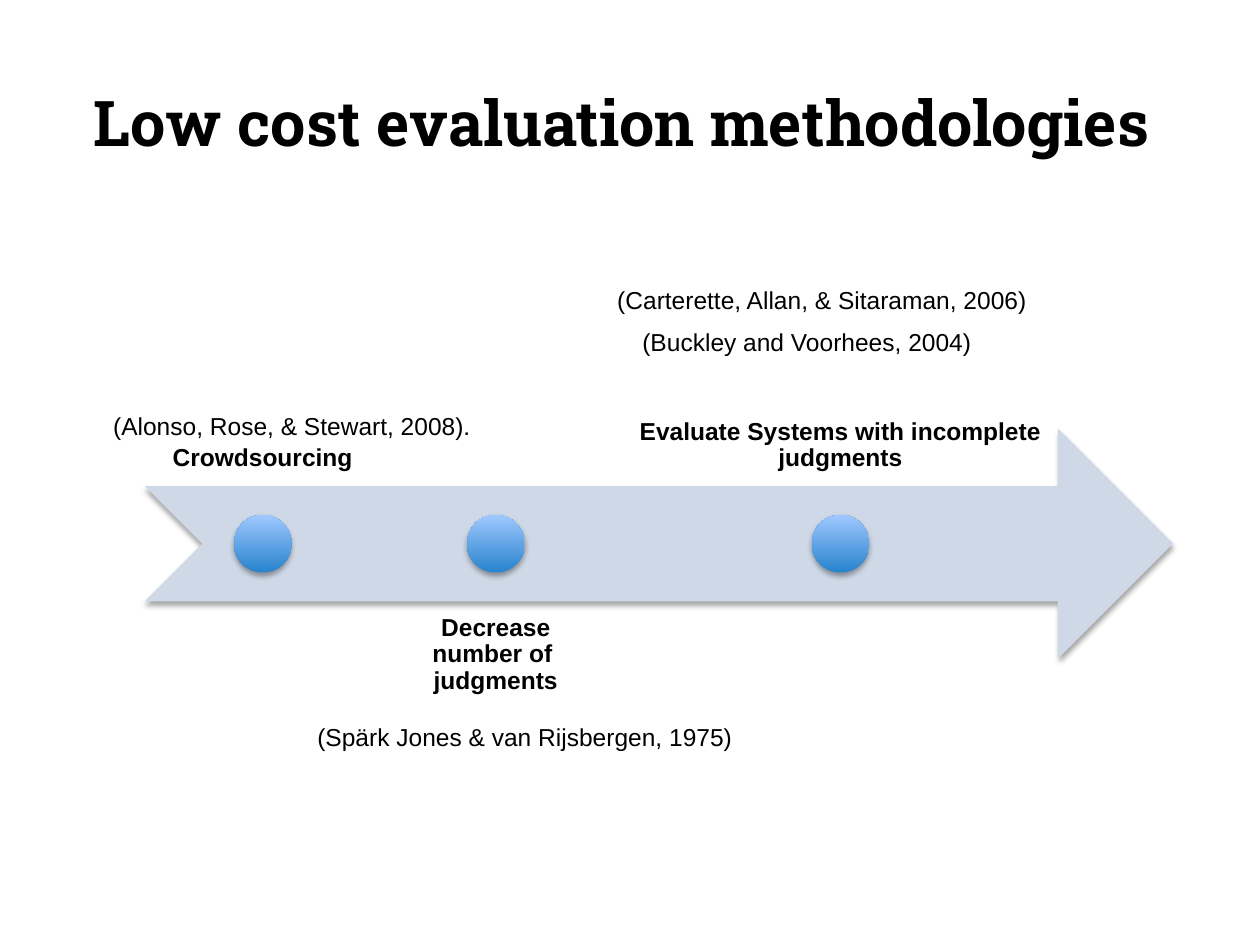
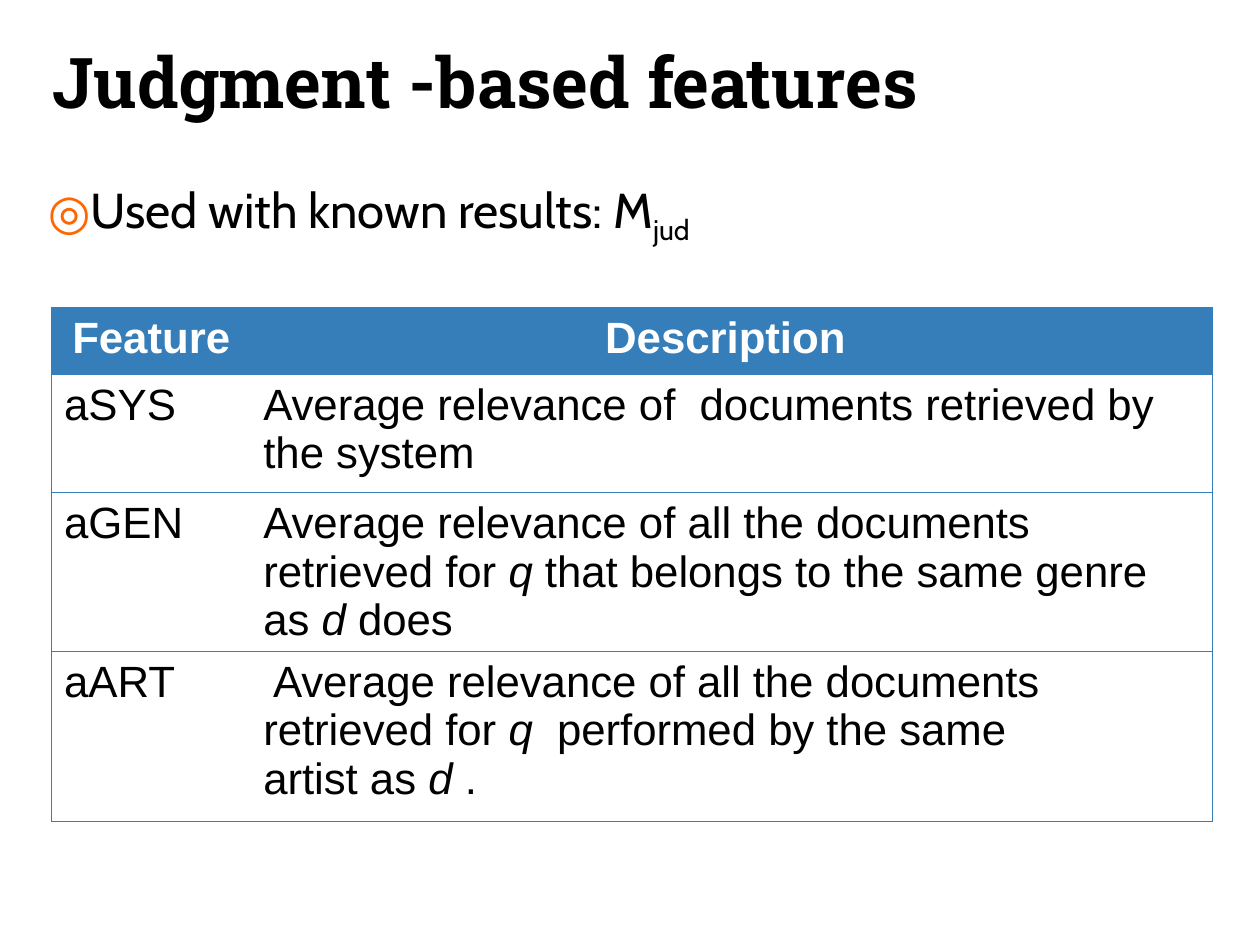
import lxml.etree
import pptx
import pptx.dml.color
import pptx.enum.shapes
import pptx.enum.text
import pptx.oxml.ns
import pptx.util

Inches = pptx.util.Inches
Pt = pptx.util.Pt
Align = pptx.enum.text.PP_ALIGN
Anchor = pptx.enum.text.MSO_ANCHOR
Shape = pptx.enum.shapes.MSO_SHAPE
qn = pptx.oxml.ns.qn

TITLE_FONT = "Roboto Slab"
BODY_FONT = "Cabin"
LABEL_FONT = "Arial"
BLACK = "000000"
WHITE = "FFFFFF"
ARROW_FILL = "CED8E7"
DOT_DARK = "2783CD"
DOT_LIGHT = "A0C8FF"
TABLE_BLUE = "367EB9"
BULLET_ORANGE = "FF6600"


def rgb(hex_color):
    return pptx.dml.color.RGBColor.from_string(hex_color)


def add_element(parent, tag, **attributes):
    element = lxml.etree.SubElement(parent, qn(tag))
    for name, value in attributes.items():
        element.set(name, str(value))
    return element


def add_run(paragraph, text, size, font=LABEL_FONT, color=BLACK, bold=False, italic=False):
    run = paragraph.add_run()
    run.text = text
    run.font.name = font
    run.font.size = Pt(size)
    run.font.color.rgb = rgb(color)
    run.font.bold = bold
    run.font.italic = italic
    return run


def place(shape, left, top, width, height):
    shape.left, shape.top = Inches(left), Inches(top)
    shape.width, shape.height = Inches(width), Inches(height)


def set_frame(frame, margin, anchor=Anchor.TOP):
    frame.word_wrap = True
    frame.auto_size = pptx.enum.text.MSO_AUTO_SIZE.NONE
    frame.vertical_anchor = anchor
    frame.margin_left = frame.margin_right = Inches(margin)
    frame.margin_top = frame.margin_bottom = Inches(margin)


def set_title(slide, text, box, size, alignment):
    title = slide.shapes.title
    place(title, *box)
    set_frame(title.text_frame, 0.1, Anchor.BOTTOM)
    paragraph = title.text_frame.paragraphs[0]
    paragraph.alignment = alignment
    add_run(paragraph, text, size, TITLE_FONT, bold=True)


def add_shadowed_shape(slide, kind, left, top, width, height):
    shape = slide.shapes.add_shape(kind, Inches(left), Inches(top), Inches(width), Inches(height))
    shape.line.fill.background()
    shape.shadow.inherit = False
    effects = shape._element.spPr.find(qn("a:effectLst"))
    shadow = add_element(effects, "a:outerShdw", blurRad=Pt(3.1), dist=Pt(1.8),
                         dir=90 * 60000, rotWithShape=0)
    color = add_element(shadow, "a:srgbClr", val=BLACK)
    add_element(color, "a:alpha", val=35000)
    return shape


def add_dot(slide, center_x, center_y, diameter):
    dot = add_shadowed_shape(slide, Shape.OVAL, center_x - diameter / 2,
                             center_y - diameter / 2, diameter, diameter)
    dot.fill.gradient()
    dot.fill.gradient_angle = 90
    for stop, color in zip(dot.fill.gradient_stops, (DOT_DARK, DOT_LIGHT)):
        stop.color.rgb = rgb(color)


def add_milestone(slide, text, left, width, top, height, above):
    label_top = top if above else top + 0.6 * height
    label = slide.shapes.add_textbox(Inches(left), Inches(label_top),
                                     Inches(width), Inches(0.4 * height))
    set_frame(label.text_frame, 0.11, Anchor.BOTTOM if above else Anchor.TOP)
    paragraph = label.text_frame.paragraphs[0]
    paragraph.alignment = Align.CENTER
    paragraph.line_spacing = 0.9
    add_run(paragraph, text, 14, bold=True)
    add_dot(slide, left + width / 2, top + height / 2, height / 10)


def add_citation(slide, text, left, top, width):
    citation = slide.shapes.add_textbox(Inches(left), Inches(top), Inches(width), Inches(0.34))
    citation.text_frame.word_wrap = False
    citation.text_frame.auto_size = pptx.enum.text.MSO_AUTO_SIZE.SHAPE_TO_FIT_TEXT
    add_run(citation.text_frame.paragraphs[0], text, 14)


def add_timeline(slide, box, milestones, citations):
    left, top, width, height = box
    arrow = add_shadowed_shape(slide, Shape.NOTCHED_RIGHT_ARROW, left,
                               top + 0.3 * height, width, 0.4 * height)
    arrow.fill.solid()
    arrow.fill.fore_color.rgb = rgb(ARROW_FILL)
    for text, offset, label_width, above in milestones:
        add_milestone(slide, text, left + offset, label_width, top, height, above)
    for text, offset_x, offset_y, citation_width in citations:
        add_citation(slide, text, left + offset_x, top + offset_y, citation_width)


def add_bullet(body, box, text, subscript):
    place(body, *box)
    set_frame(body.text_frame, 0.1)
    paragraph = body.text_frame.paragraphs[0]
    properties = paragraph._p.get_or_add_pPr()
    properties.set("marL", "0")
    properties.set("indent", "0")
    add_element(add_element(properties, "a:buClr"), "a:srgbClr", val=BULLET_ORANGE)
    add_element(properties, "a:buChar", char="◎")
    paragraph.alignment = Align.JUSTIFY
    paragraph.line_spacing = 1.1
    paragraph.space_before = Pt(0)
    add_run(paragraph, text, 28, BODY_FONT)
    lowered = add_run(paragraph, subscript, 28, BODY_FONT)
    lowered.font._element.set("baseline", "-25000")


def set_borders(cell, visible_sides):
    properties = cell._tc.get_or_add_tcPr()
    for side in "LRTB":
        line = add_element(properties, f"a:ln{side}", w=Pt(0.75))
        if side in visible_sides:
            add_element(add_element(line, "a:solidFill"), "a:srgbClr", val=TABLE_BLUE)
        else:
            add_element(line, "a:noFill")


def fill_cell(cell, paragraphs, is_header):
    cell.margin_left = cell.margin_right = Inches(0.1)
    cell.margin_top = cell.margin_bottom = Inches(0.05)
    cell.fill.solid()
    cell.fill.fore_color.rgb = rgb(TABLE_BLUE if is_header else WHITE)
    for index, pieces in enumerate(paragraphs):
        frame = cell.text_frame
        paragraph = frame.add_paragraph() if index else frame.paragraphs[0]
        paragraph.alignment = Align.CENTER if is_header else Align.LEFT
        for position, piece in enumerate(pieces):
            add_run(paragraph, piece, 25, color=WHITE if is_header else BLACK,
                    bold=is_header, italic=position % 2 == 1)


def add_feature_table(slide, left, top, column_widths, row_heights, rows):
    table = slide.shapes.add_table(
        len(rows), len(column_widths), Inches(left), Inches(top),
        Inches(sum(column_widths)), Inches(sum(row_heights))).table
    table.horz_banding = False
    for column, width in zip(table.columns, column_widths):
        column.width = Inches(width)
    for row_index, (row, height, (name, description)) in enumerate(
            zip(table.rows, row_heights, rows)):
        row.height = Inches(height)
        contents = ([[name]], description)
        for cell, paragraphs, outer_side in zip(row.cells, contents, "LR"):
            set_borders(cell, outer_side + "TB")
            fill_cell(cell, paragraphs, row_index == 0)


def build_methodologies_slide(presentation):
    slide = presentation.slides.add_slide(presentation.slide_layouts[5])
    set_title(slide, "Low cost evaluation methodologies", (0.18, 0.34, 9.51, 1.02),
              36, Align.CENTER)
    milestones = [
        ("Crowdsourcing", 0, 1.87, True),
        ("Decrease number of  judgments", 1.9, 1.77, False),
        ("Evaluate Systems with incomplete judgments", 3.7, 3.64, True),
    ]
    citations = [
        ("(Alonso, Rose, & Stewart, 2008).", -0.35, 1.18, 3.06),
        ("(Spärk Jones & van Rijsbergen, 1975)", 1.27, 3.65, 3.52),
        ("(Buckley and Voorhees, 2004)", 3.85, 0.52, 2.84),
        ("(Carterette, Allan, & Sitaraman, 2006)", 3.65, 0.18, 3.49),
    ]
    add_timeline(slide, (1.15, 2.03, 8.16, 4.57), milestones, citations)


def build_features_slide(presentation):
    slide = presentation.slides.add_slide(presentation.slide_layouts[1])
    set_title(slide, "Judgment -based features", (0.32, 0.05, 8.28, 1.02), 40, Align.LEFT)
    add_bullet(slide.placeholders[1], (0.28, 1.27, 8.58, 1.0),
               "Used with known results: M", "jud")
    rows = [
        ("Feature", [["Description "]]),
        ("aSYS", [["Average relevance of  documents retrieved by the system"]]),
        ("aGEN", [["Average relevance of all the documents retrieved for ", "q",
                   " that belongs to the same genre as ", "d", " does"]]),
        ("aART", [[" Average relevance of all the documents retrieved for ", "q",
                   "  performed by the same"],
                  ["artist as ", "d", " ."]]),
    ]
    add_feature_table(slide, 0.41, 2.44, (1.58, 7.63), (0.53, 0.94, 1.26, 1.35), rows)


def main():
    presentation = pptx.Presentation()
    presentation.slide_width = Inches(10)
    presentation.slide_height = Inches(7.5)
    build_methodologies_slide(presentation)
    build_features_slide(presentation)
    presentation.save("out.pptx")


if __name__ == "__main__":
    main()
